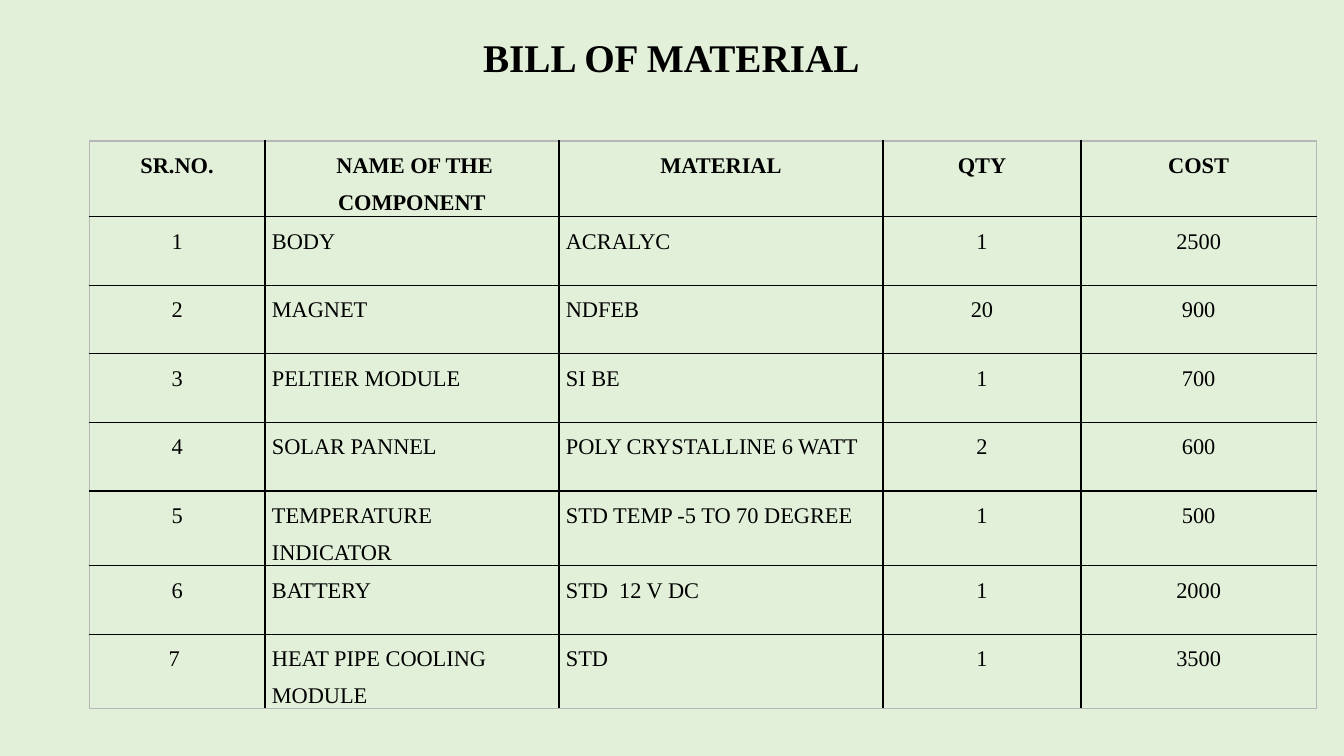
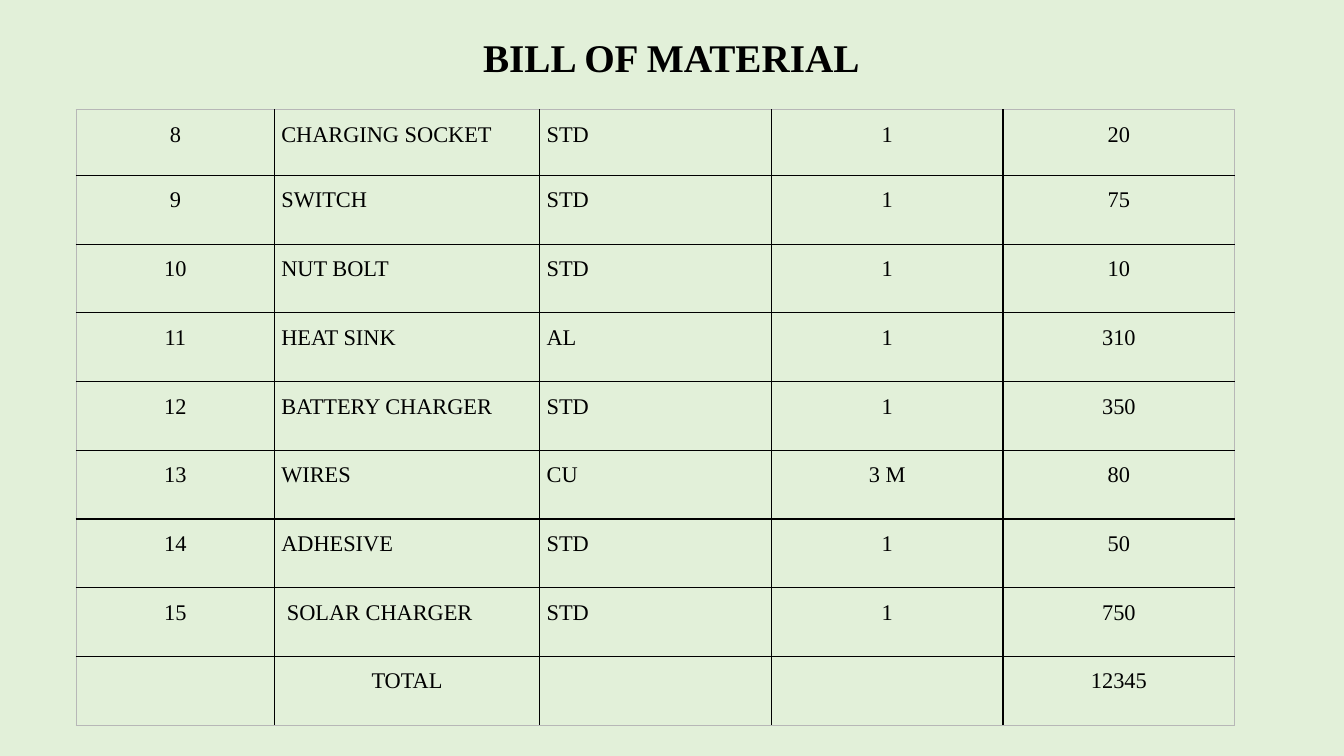
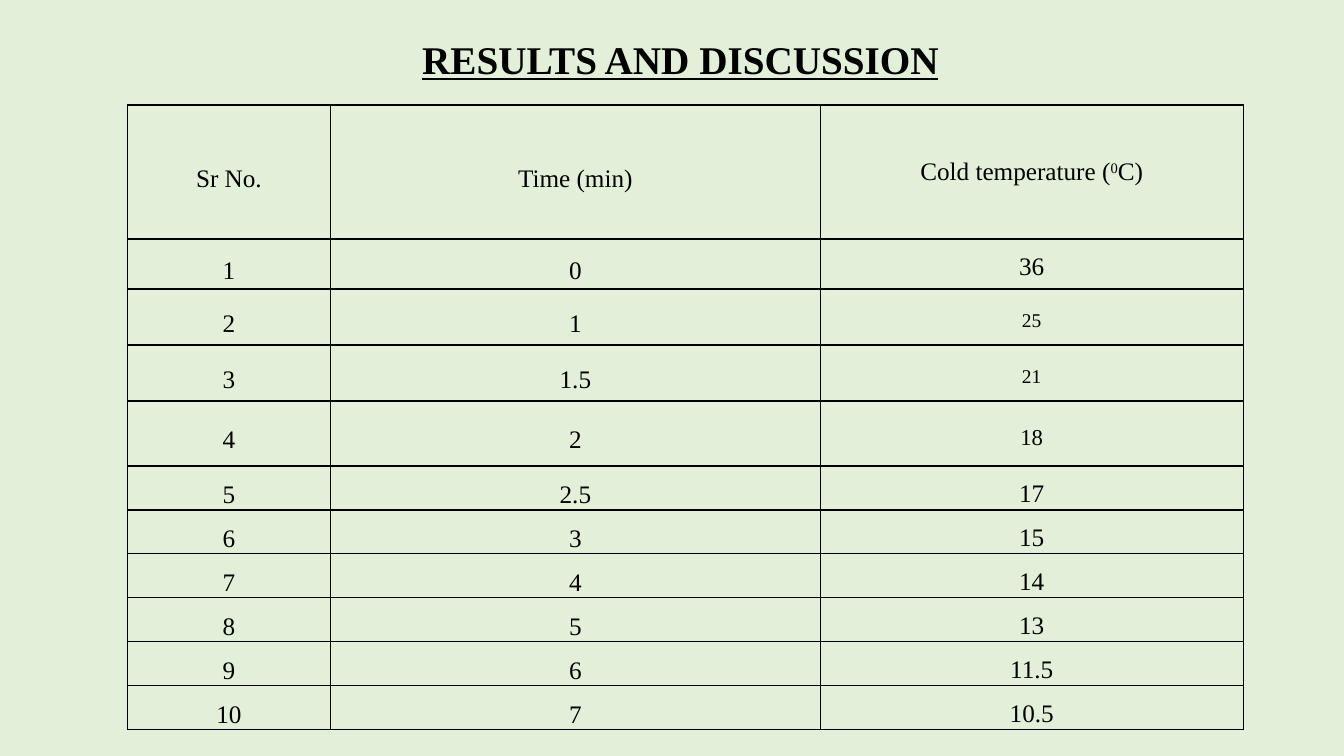
from pptx import Presentation
from pptx.util import Pt
from pptx.dml.color import RGBColor
from pptx.enum.text import PP_ALIGN as AL, MSO_ANCHOR as ANC
from pptx.oxml import parse_xml
from pptx.oxml.ns import nsdecls

GREEN = RGBColor(0xE2, 0xF0, 0xD9)
BLACK = RGBColor(0, 0, 0)
GREY = RGBColor(0xB7, 0xB7, 0xB7)
FONT = "Times New Roman"
ALIGN = {"c": AL.CENTER, "l": AL.LEFT, "j": AL.JUSTIFY}

prs = Presentation()
prs.slide_width, prs.slide_height = Pt(960), Pt(540)
prs.slide_master.background.fill.solid()
prs.slide_master.background.fill.fore_color.rgb = GREEN


def add_run(p, text, size, raised=False, **extra):
    r = p.add_run()
    r.text = text
    style = {"name": FONT, "size": Pt(size), "bold": False, **extra}
    for key, value in style.items():
        setattr(r.font, key, value)
    r.font.color.rgb = BLACK
    if raised:
        r._r.get_or_add_rPr().set("baseline", "30000")


def add_border(cell, side, color):
    cell._tc.get_or_add_tcPr().append(parse_xml(
        f'<a:ln{side} {nsdecls("a")} w="12700"><a:solidFill>'
        f'<a:srgbClr val="{color}"/></a:solidFill></a:ln{side}>'))


# Table contents
materials = [
    ["SR.NO.", " NAME OF THE COMPONENT", "MATERIAL", "QTY", "COST"],
    ["1", "BODY ", "ACRALYC", "1", "2500"],
    ["2", "MAGNET", "NDFEB", "20", "900"],
    ["3", "PELTIER MODULE", "SI BE", "1", "700"],
    ["4", "SOLAR PANNEL", "POLY CRYSTALLINE 6 WATT", "2", "600"],
    ["5", "TEMPERATURE INDICATOR", "STD TEMP -5 TO 70 DEGREE", "1", "500"],
    ["6", "BATTERY", "STD  12 V DC", "1", "2000"],
    ["7 ", "HEAT PIPE COOLING MODULE", "STD", "1", "3500"],
]
materials_end = [
    ["8", "CHARGING SOCKET", "STD", "1", "20"],
    ["9", "SWITCH", "STD", "1", "75"],
    ["10", "NUT BOLT", "STD", "1", "10"],
    ["11", "HEAT SINK", "AL", "1", "310"],
    ["12", "BATTERY CHARGER", "STD", "1", "350"],
    ["13", "WIRES", "CU", "3 M", "80"],
    ["14", "ADHESIVE", "STD", "1", "50"],
    ["15", " SOLAR CHARGER", "STD", "1", "750"],
    ["", "TOTAL", "", "", "12345"],
]
times = ["0", "1", "1.5", "2", "2.5", "3", "4", "5", "6", "7"]
temps = ["36", "25", "21", "18", "17", "15", "14", "13", "11.5", "10.5"]
results = [["Sr No.", "Time (min)", "Cold temperature ("]]
results += [[str(n), *pair] for n, pair in enumerate(zip(times, temps), 1)]
raised_sizes = {"25": 24, "21": 24, "18": 28}

bill = {"title": "BILL OF MATERIAL", "title_at": (77.5, 7, 804, 71),
        "underline": False, "size": 16, "edge": GREY, "after": 8}
slides = [
    {**bill, "rows": materials, "aligns": "cljcc", "at": (63.75, 100.75),
     "cols": [125.5, 210, 231.5, 141.5, 168],
     "heights": [54, 49, 49, 49, 49, 53, 49, 53]},
    {**bill, "rows": materials_end, "aligns": "cjjcc", "at": (54.5, 78.5),
     "cols": [141.5, 189.5, 165.5, 165.5, 165.5],
     "heights": [46.8] + [49.1] * 8},
    {"title": "RESULTS AND DISCUSSION", "title_at": (72, 5, 828, 78),
     "underline": True, "size": 18, "edge": BLACK, "after": 10,
     "rows": results, "aligns": "ccc", "at": (91, 75),
     "cols": [145, 350, 302],
     "heights": [95.7, 35.7, 40, 40, 46.4] + [31.4] * 6},
]

for spec in slides:
    s = prs.slides.add_slide(prs.slide_layouts[5])

    # Title
    sp = s.shapes.title
    for key, value in zip(("left", "top", "width", "height"), spec["title_at"]):
        setattr(sp, key, Pt(value))
    tf = sp.text_frame
    tf.vertical_anchor = ANC.MIDDLE
    p = tf.paragraphs[0]
    p.alignment, p.line_spacing = AL.CENTER, 0.9
    add_run(p, spec["title"], 28, bold=True, underline=spec["underline"])

    # Table grid
    rows, cols, heights = spec["rows"], spec["cols"], spec["heights"]
    frame = s.shapes.add_table(
        len(rows), len(cols), *map(Pt, spec["at"]),
        Pt(sum(cols)), Pt(sum(heights)))
    tbl = frame.table
    tbl.first_row = tbl.horz_banding = False
    for col, width in zip(tbl.columns, cols):
        col.width = Pt(width)
    for row, height in zip(tbl.rows, heights):
        row.height = Pt(height)

    # Cells
    for i, texts in enumerate(rows):
        for j, text in enumerate(texts):
            cell = tbl.cell(i, j)
            edges = {"L": j == 0, "R": j == len(cols) - 1,
                     "T": i == 0, "B": i == len(rows) - 1}
            for side, outer in edges.items():
                add_border(cell, side, spec["edge"] if outer else BLACK)
            cell.fill.background()
            cell.margin_left = cell.margin_right = Pt(5)
            cell.margin_top = cell.margin_bottom = 0
            if rows is results and j < 2:
                cell.vertical_anchor = ANC.MIDDLE
            p = cell.text_frame.paragraphs[0]
            centred = text in ("TOTAL", *materials[0])
            p.alignment = AL.CENTER if centred else ALIGN[spec["aligns"][j]]
            p.line_spacing, p.space_after = 1.5, Pt(spec["after"])
            raised = rows is results and j == 2 and text in raised_sizes
            size = raised_sizes[text] if raised else spec["size"]
            if text:
                add_run(p, text, size, raised, bold=rows is materials and i == 0)

    # Degree sign in the temperature heading
    if rows is results:
        cell = tbl.cell(0, 2)
        cell.margin_top = Pt(28)
        p = cell.text_frame.paragraphs[0]
        add_run(p, "0", 18, raised=True)
        add_run(p, "C)", 18)

prs.save("out.pptx")
